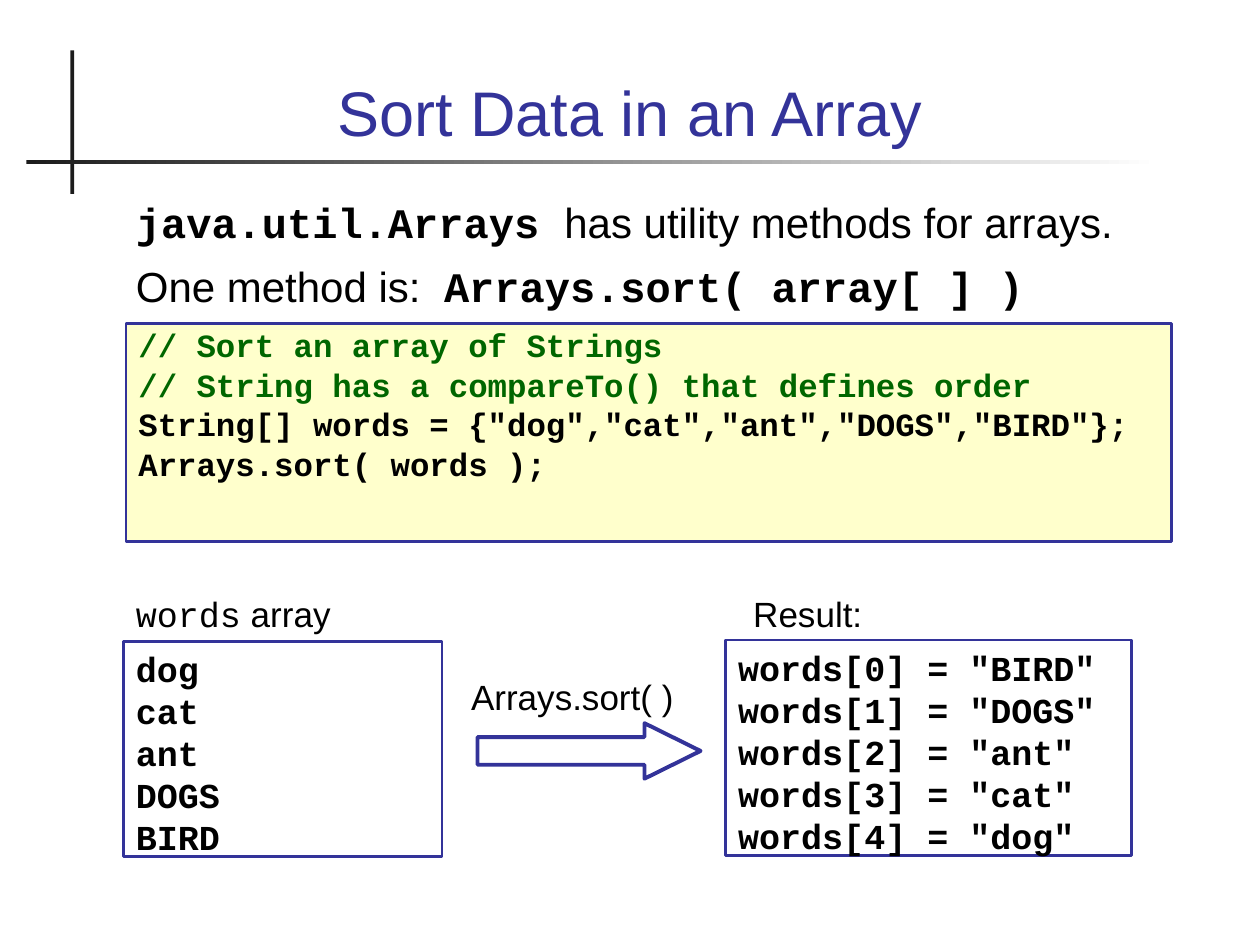
"""Build the slide on sorting data in an array."""
from dataclasses import dataclass
from typing import Optional

from pptx import Presentation
from pptx.dml.color import RGBColor
from pptx.enum.shapes import MSO_SHAPE
from pptx.enum.text import MSO_ANCHOR, PP_ALIGN
from pptx.util import Inches, Pt

BLUE = RGBColor(0x33, 0x33, 0x99)
GREEN = RGBColor(0x00, 0x66, 0x00)
CREAM = RGBColor(0xFF, 0xFF, 0xCC)
BLACK = RGBColor(0x00, 0x00, 0x00)
DARK = RGBColor(0x1C, 0x1C, 0x1C)
WHITE = RGBColor(0xFF, 0xFF, 0xFF)
SANS = "Arial"
MONO = "Courier New"


@dataclass(frozen=True)
class Span:
    text: str
    font: str = SANS
    bold: bool = False
    color: RGBColor = BLACK


@dataclass(frozen=True)
class Block:
    area: tuple[float, float, float, float]
    lines: list[list[Span]]
    size: float = 20
    before: float = 0
    pitch: Optional[float] = None
    align: PP_ALIGN = PP_ALIGN.LEFT
    anchor: MSO_ANCHOR = MSO_ANCHOR.TOP
    framed: bool = False
    fill: Optional[RGBColor] = None
    wrap: bool = True


def code(text: str, color: RGBColor = BLACK) -> Span:
    return Span(text, MONO, True, color)


def add_form(slide, kind: MSO_SHAPE, area: tuple, fill: Optional[RGBColor] = None,
             edge: float = 0):
    shape = slide.shapes.add_shape(kind, *map(Inches, area))
    shape.shadow.inherit = False
    if fill is None:
        shape.fill.background()
    else:
        shape.fill.solid()
        shape.fill.fore_color.rgb = fill
    if edge:
        shape.line.color.rgb = BLUE
        shape.line.width = Pt(edge)
    else:
        shape.line.fill.background()
    return shape


def add_block(slide, block: Block) -> None:
    if block.framed:
        shape = add_form(slide, MSO_SHAPE.RECTANGLE, block.area, block.fill, 1.5)
    else:
        shape = slide.shapes.add_textbox(*map(Inches, block.area))
    frame = shape.text_frame
    frame.word_wrap = block.wrap
    frame.vertical_anchor = block.anchor
    frame.text = "\n".join("" for _ in block.lines)
    for para, line in zip(frame.paragraphs, block.lines):
        para.alignment = block.align
        para.space_before = Pt(block.before)
        para.line_spacing = block.pitch
        for span in line:
            run = para.add_run()
            run.text = span.text
            run.font.name = span.font
            run.font.size = Pt(block.size)
            run.font.bold = span.bold
            run.font.color.rgb = span.color


def add_rules(slide) -> None:
    add_form(slide, MSO_SHAPE.RECTANGLE, (0.56, 0.4, 0.03, 1.14), DARK)
    rule = add_form(slide, MSO_SHAPE.RECTANGLE, (0.21, 1.27, 8.99, 0.03))
    rule.fill.gradient()
    rule.fill.gradient_angle = 0
    for stop, color in zip(rule.fill.gradient_stops, (DARK, WHITE)):
        stop.color.rgb = color


def main() -> None:
    deck = Presentation()
    deck.slide_width, deck.slide_height = Inches(10), Inches(7.5)
    slide = deck.slides.add_slide(deck.slide_layouts[6])
    words = ["dog", "cat", "ant", "DOGS", "BIRD"]
    listed = ",".join(f'"{word}"' for word in words)
    blocks = [
        Block((0.67, 0.28, 8.66, 0.95), [[Span("Sort Data in an Array", color=BLUE)]],
              size=36, align=PP_ALIGN.CENTER, anchor=MSO_ANCHOR.BOTTOM),
        Block((1, 2.57, 8.3, 1.73), [
            [code("// Sort an array of Strings", GREEN)],
            [code("// String has a compareTo() that defines order", GREEN)],
            [code(f"String[] words = {{{listed}}};")],
            [code("Arrays.sort( words );")],
        ], size=18.5, before=2.5, pitch=0.9, framed=True, fill=CREAM),
        Block((0.98, 1.51, 8.32, 1.01), [
            [code("java.util.Arrays "), Span("has utility methods for arrays.")],
            [Span("One method is:  "), code("Arrays.sort( array[ ] )")],
        ], size=24, before=7.5),
        Block((0.98, 5.09, 2.53, 1.71), [[code(word)] for word in words], framed=True),
        Block((0.98, 4.65, 2.5, 0.44), [[Span("words", MONO), Span(" array")]],
              before=12.5),
        Block((5.76, 5.08, 3.22, 1.71),
              [[code(f'words[{i}] = "{word}"')] for i, word in enumerate(sorted(words))],
              framed=True),
        Block((5.88, 4.65, 2.5, 0.44), [[Span("Result:")]], before=12.5),
        Block((3.64, 5.31, 1.81, 0.44), [[Span("Arrays.sort( )")]], before=12.5,
              wrap=False),
    ]
    add_rules(slide)
    for block in blocks:
        add_block(slide, block)
    arrow = add_form(slide, MSO_SHAPE.RIGHT_ARROW, (3.79, 5.74, 1.77, 0.44), edge=2.25)
    arrow.adjustments[1] = 1.01
    deck.save("out.pptx")


if __name__ == "__main__":
    main()
